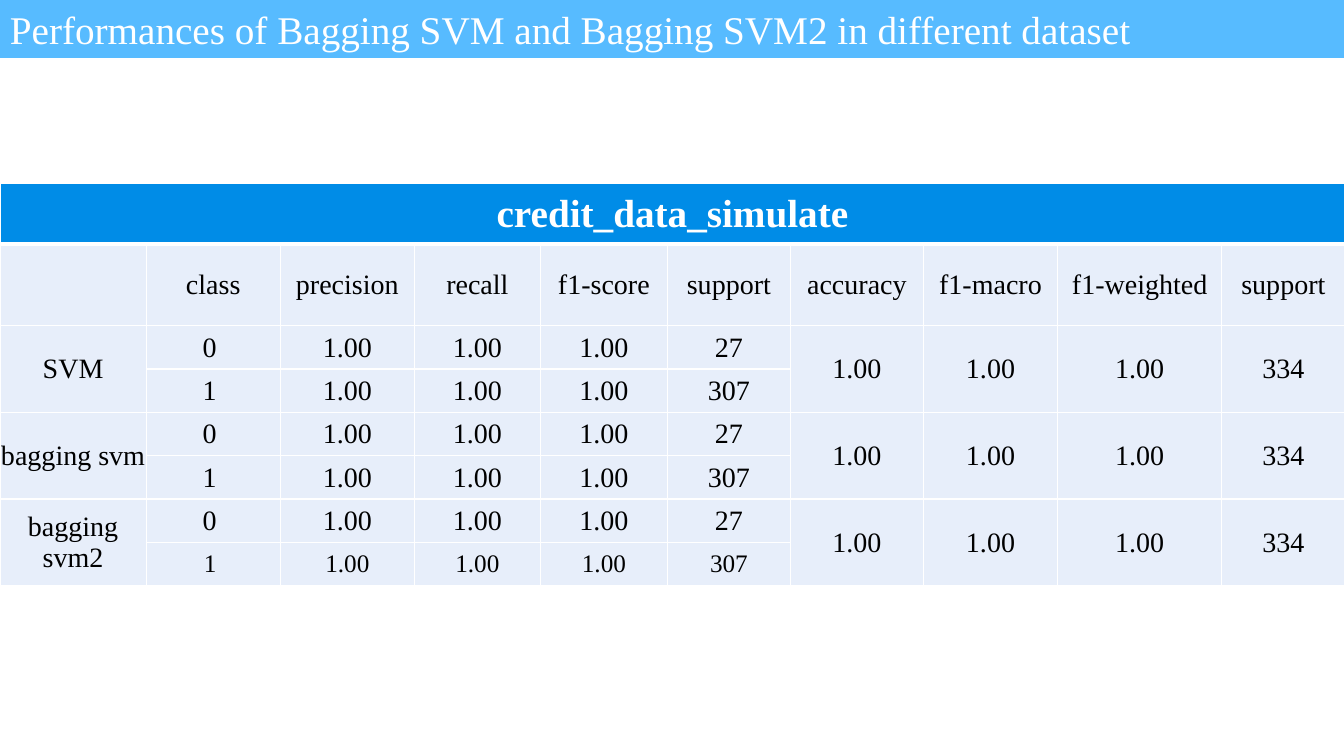
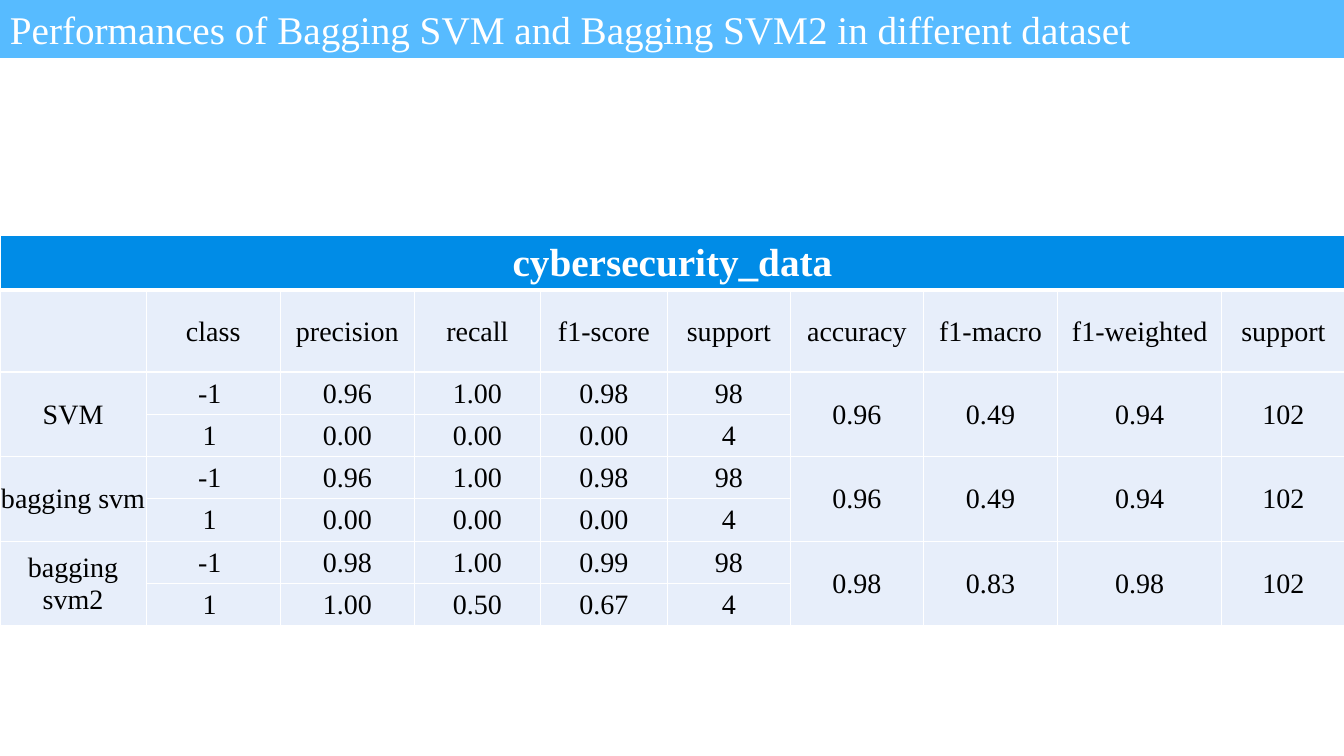
from dataclasses import dataclass

from lxml.etree import SubElement
from pptx import Presentation
from pptx.dml.color import RGBColor as RGB
from pptx.enum.shapes import MSO_SHAPE as SHAPE
from pptx.enum.text import MSO_ANCHOR as ANCHOR, PP_ALIGN as ALIGN
from pptx.oxml.ns import qn
from pptx.util import Inches, Pt


@dataclass(frozen=True)
class Theme:
    font: str = "Times New Roman"
    band: str = "57BBFF"
    head: str = "008CE7"
    cell: str = "E7EEFA"
    white: str = "FFFFFF"
    black: str = "000000"
    title_size: int = 28
    body_size: int = 20
    small_size: int = 18
    thin: int = 1
    thick: int = 3


T = Theme()
SLIDE_W, SLIDE_H, BAND_H = 13.33, 7.5, 0.57
TITLE = "Performances of Bagging SVM and Bagging SVM2 in different dataset"

# Table layout: class scores take one row each, overall scores span a model
COL_WIDTHS = (1.45, 1.33, 1.33, 1.25, 1.26, 1.22, 1.32, 1.33, 1.63, 1.22)
HEADINGS = ("", "class", "precision", "recall", "f1-score", "support",
            "accuracy", "f1-macro", "f1-weighted", "support")
HEADINGS_H = 0.81
FIRST_OVERALL = 6

# Each model: name, one row per class, overall scores
CREDIT_ROWS = (("0 ", "1.00", "1.00", "1.00", "27"),
               ("1 ", "1.00", "1.00", "1.00", "307"))
CREDIT = [(name, CREDIT_ROWS, ("1.00", "1.00", "1.00", "334"))
          for name in ("SVM", "bagging svm", "bagging svm2")]

CYBER_ROWS = (("-1 ", "0.96", "1.00", "0.98", "98"),
              ("1 ", "0.00", "0.00", "0.00", "4"))
CYBER = [(name, CYBER_ROWS, ("0.96", "0.49", "0.94", "102"))
         for name in ("SVM", "bagging svm")]
CYBER.append(("bagging svm2",
              (("-1 ", "0.98", "1.00", "0.99", "98"),
               ("1 ", "1.00", "0.50", "0.67", "4")),
              ("0.98", "0.83", "0.98", "102")))


def set_font(p, size, color, bold=False):
    f = p.font
    f.name, f.size, f.bold = T.font, Pt(size), bold
    f.color.rgb = RGB.from_string(color)


def add_title_band(s):
    sp = s.shapes.add_shape(SHAPE.RECTANGLE, 0, 0, Inches(SLIDE_W), Inches(BAND_H))
    sp.shadow.inherit = False
    sp.fill.solid()
    sp.fill.fore_color.rgb = sp.line.color.rgb = RGB.from_string(T.band)
    sp.line.width = Pt(1)
    tf = sp.text_frame
    tf.word_wrap = True
    tf.vertical_anchor = ANCHOR.MIDDLE
    p = tf.paragraphs[0]
    p.text = TITLE
    p.alignment = ALIGN.LEFT
    set_font(p, T.title_size, T.white)


def set_borders(cell, top, bottom):
    """Draw white borders; they must come before the fill in the cell XML."""
    tc_pr = cell._tc.get_or_add_tcPr()
    widths = {"a:lnL": T.thin, "a:lnR": T.thin, "a:lnT": top, "a:lnB": bottom}
    for i, (tag, width) in enumerate(widths.items()):
        ln = SubElement(tc_pr, qn(tag), w=str(Pt(width)))
        SubElement(SubElement(ln, qn("a:solidFill")), qn("a:srgbClr"), val=T.white)
        tc_pr.insert(i, ln)


def style_cell(cell, row):
    cell.fill.solid()
    cell.fill.fore_color.rgb = RGB.from_string(T.head if row == 0 else T.cell)
    cell.vertical_anchor = ANCHOR.MIDDLE
    cell.margin_left = cell.margin_right = cell.margin_top = Inches(0.01)
    cell.margin_bottom = 0
    set_borders(cell, top=T.thick if row == 1 else T.thin,
                bottom=T.thick if row == 0 else T.thin)


def write_cell(cell, text, size=T.body_size, color=T.black, bold=False):
    p = cell.text_frame.paragraphs[0]
    p.text = text
    p.alignment = ALIGN.CENTER
    set_font(p, size, color, bold)


def add_score_table(s, dataset, models, top, name_h, row_h, last_size=T.body_size):
    heights = [name_h, HEADINGS_H] + [row_h] * (2 * len(models))
    n_rows, n_cols = len(heights), len(COL_WIDTHS)
    tbl = s.shapes.add_table(n_rows, n_cols, 0, Inches(top),
                             Inches(SLIDE_W), Inches(sum(heights))).table
    tbl.horz_banding = False
    for col, width in zip(tbl.columns, COL_WIDTHS):
        col.width = Inches(width)
    for r, height in enumerate(heights):
        tbl.rows[r].height = Inches(height)
        for c in range(n_cols):
            style_cell(tbl.cell(r, c), r)

    # Dataset name and column headings
    tbl.cell(0, 0).merge(tbl.cell(0, n_cols - 1))
    write_cell(tbl.cell(0, 0), dataset, T.title_size, T.white, bold=True)
    for c, heading in enumerate(HEADINGS):
        write_cell(tbl.cell(1, c), heading)

    # Two rows per model
    for i, (name, class_rows, overall) in enumerate(models):
        first = 2 + 2 * i
        spanning = {0: name, **dict(enumerate(overall, FIRST_OVERALL))}
        for c, text in spanning.items():
            tbl.cell(first, c).merge(tbl.cell(first + 1, c))
            write_cell(tbl.cell(first, c), text)
        for r, scores in enumerate(class_rows, first):
            size = last_size if r == n_rows - 1 else T.body_size
            for c, text in enumerate(scores, 1):
                write_cell(tbl.cell(r, c), text, size)


def add_result_slide(prs, *table, **options):
    s = prs.slides.add_slide(prs.slide_layouts[6])
    add_title_band(s)
    add_score_table(s, *table, **options)


def main():
    prs = Presentation()
    prs.slide_width, prs.slide_height = Inches(SLIDE_W), Inches(SLIDE_H)
    add_result_slide(prs, "credit_data_simulate", CREDIT,
                     top=1.82, name_h=0.6, row_h=0.43, last_size=T.small_size)
    add_result_slide(prs, "cybersecurity_data", CYBER,
                     top=2.34, name_h=0.54, row_h=0.42)
    prs.save("out.pptx")


if __name__ == "__main__":
    main()
